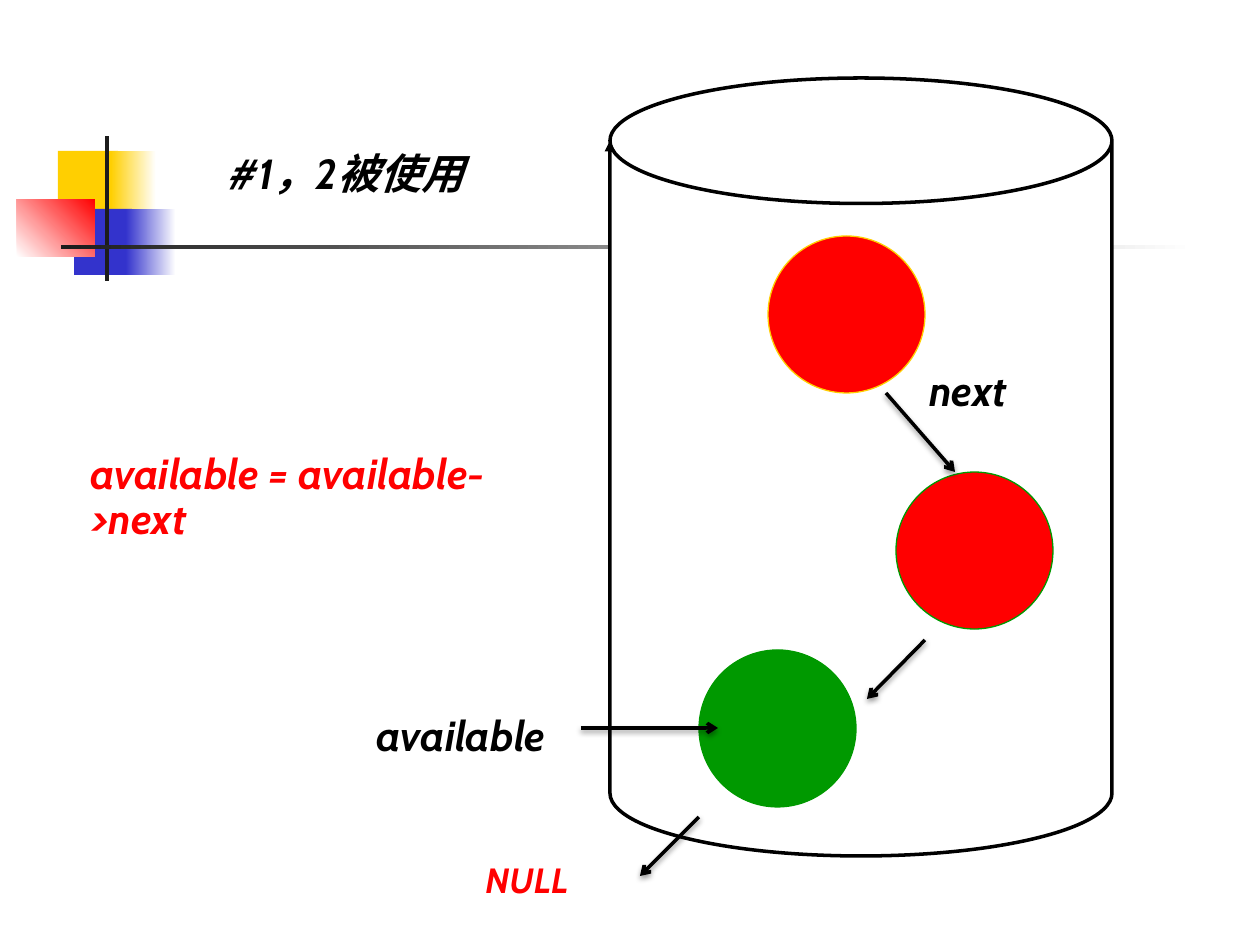
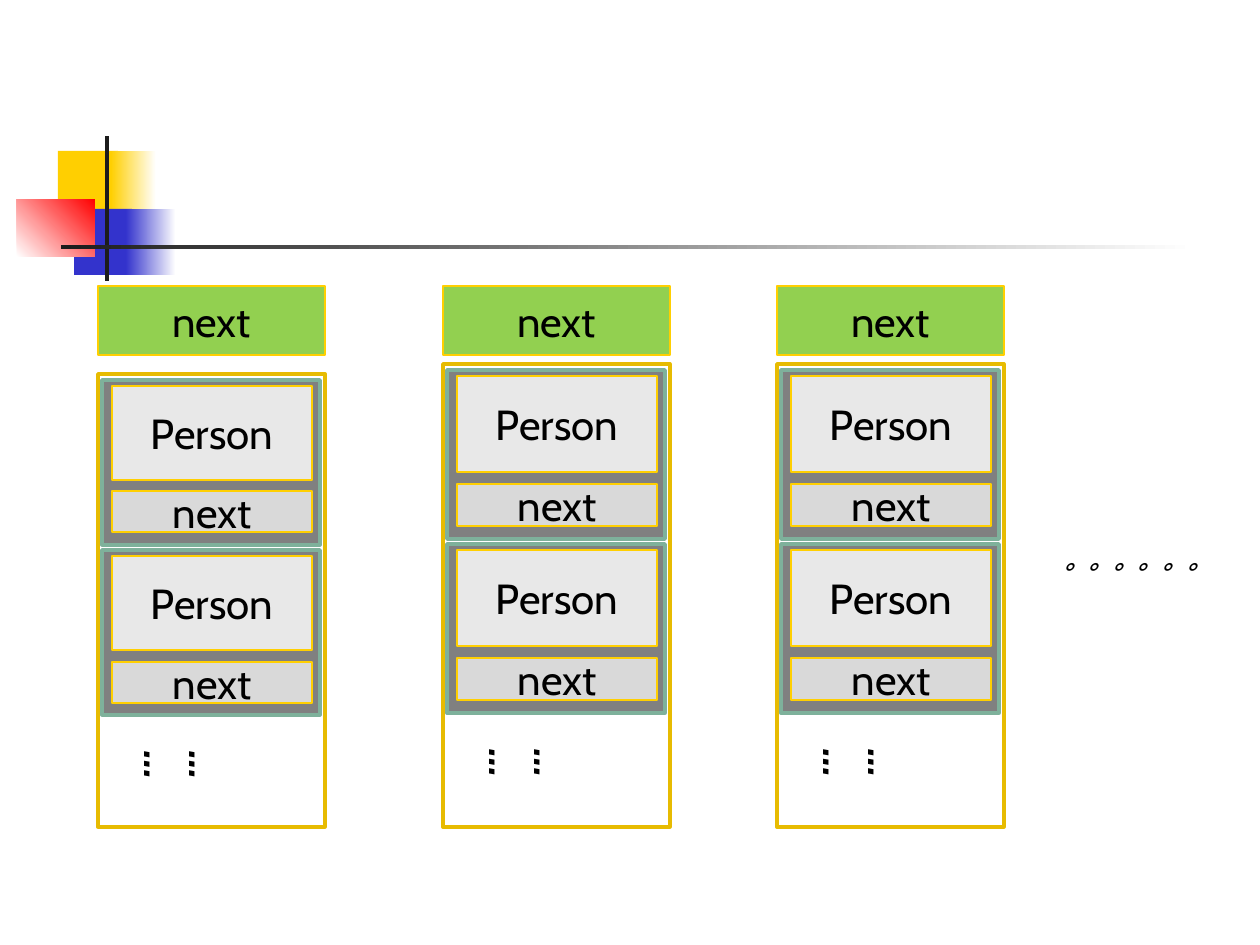
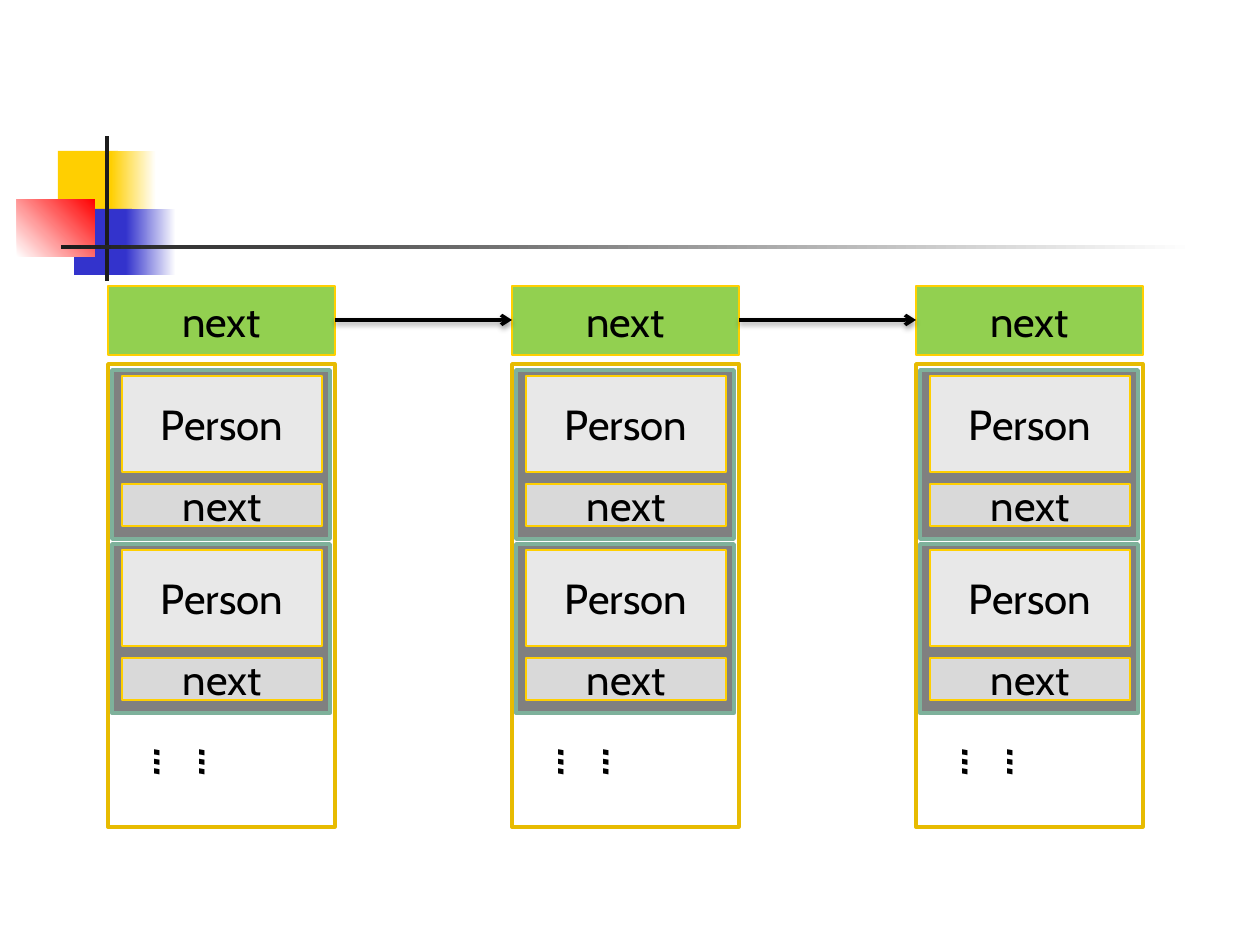
"""Builds three slides on a linked free list and its memory blocks."""
from dataclasses import dataclass
from typing import Any

from lxml import etree
from pptx import Presentation
from pptx import util as u
from pptx.dml.color import RGBColor
from pptx.enum import shapes, text
from pptx.oxml.ns import qn

SCALE = 914400 / 126
COLORS = {
    "white": "FFFFFF", "black": "000000", "ink": "1C1C1C", "red": "FF0000",
    "yellow": "FFCF01", "blue": "3333CC", "green": "009900", "gold": "E7BB01",
    "gray": "808080", "sage": "7EB19B", "pale": "E8E8E8", "silver": "D9D9D9",
    "lime": "92D050",
}
RECT = shapes.MSO_SHAPE.RECTANGLE
OVAL = shapes.MSO_SHAPE.OVAL
FONT = {"name": "Cabin", "size": u.Pt(24)}
LABEL_FONT = FONT | {"bold": True, "italic": True}
LABEL_FRAME = {
    "word_wrap": True,
    "auto_size": text.MSO_AUTO_SIZE.SHAPE_TO_FIT_TEXT,
    "vertical_anchor": text.MSO_ANCHOR.TOP,
}
LABEL_PARA = {"line_spacing": 0.9, "alignment": text.PP_ALIGN.LEFT}
CELL_FRAME = {"word_wrap": False, "vertical_anchor": text.MSO_ANCHOR.MIDDLE}
CELL_PARA = {"alignment": text.PP_ALIGN.CENTER}
COLUMN_TOP, COLUMN_BOTTOM, COLUMN_WIDTH = 364, 827, 227
HEAD_TOP, HEAD_HEIGHT = 286, 69
CARD_OFFSETS = (6, 180)


@dataclass
class Block:
    left: int
    top: int
    width: int
    height: int
    fill: str
    line: str = ""
    points: float = 0.75
    kind: Any = RECT
    words: str = ""
    fade: str = ""
    angle: int = 0


@dataclass
class Label:
    words: str
    left: int
    top: int
    width: int
    height: int
    size: int = 24
    color: str = "black"
    vertical: bool = False


@dataclass
class Arrow:
    start: tuple[int, int]
    end: tuple[int, int]


@dataclass
class Column:
    left: int
    top: int = COLUMN_TOP


DECOR = [
    Block(58, 151, 60, 66, "yellow"),
    Block(111, 151, 45, 66, "yellow", fade="white"),
    Block(74, 209, 58, 66, "blue"),
    Block(126, 209, 50, 66, "blue", fade="white"),
    Block(17, 199, 78, 58, "white", fade="red", angle=45),
    Block(105, 136, 4, 145, "ink"),
    Block(61, 245, 1134, 4, "ink", fade="white"),
]
TITLE = Label("#1，2被使用", 217, 147, 325, 58)
CYLINDER = Block(610, 78, 502, 778, "white", "black", 2, shapes.MSO_SHAPE.CAN)
NODES = [
    Block(768, 236, 157, 157, "red", "yellow", kind=OVAL),
    Block(896, 472, 157, 157, "red", "green", kind=OVAL),
    Block(699, 650, 157, 157, "green", "green", kind=OVAL),
]
NODE_ARROWS = [
    Arrow((581, 728), (718, 728)),
    Arrow((886, 393), (955, 472)),
    Arrow((925, 640), (867, 699)),
    Arrow((699, 817), (640, 876)),
]
NODE_LABELS = [
    Label("available", 364, 709, 244, 58),
    Label("next", 917, 364, 146, 58),
    Label("NULL", 473, 857, 147, 50, 20, "red"),
    Label("available = available->next", 78, 447, 452, 105, color="red"),
]
LOOSE_COLUMNS = [Column(98, 374), Column(443), Column(777)]
LINKED_COLUMNS = [Column(108 + 404 * index) for index in range(3)]
MORE = Label("。。。。。。", 1053, 542, 178, 39, 14)


def px(length: float) -> u.Emu:
    """Turn pixels into EMU."""
    return u.Emu(round(length * SCALE))


def rgb(name: str) -> RGBColor:
    """Look up a named colour."""
    return RGBColor.from_string(COLORS[name])


def apply(target: Any, values: dict) -> None:
    """Set attributes from a dict of format values."""
    for name, value in values.items():
        setattr(target, name, value)


def place(item: Block | Label) -> list[u.Emu]:
    """Give the left, top, width and height in EMU."""
    return [px(side) for side in (item.left, item.top, item.width, item.height)]


def write(box: Any, words: str, frame: dict, para: dict, font: dict, color: str) -> None:
    """Write one formatted paragraph into a shape."""
    apply(box.text_frame, frame)
    paragraph = box.text_frame.paragraphs[0]
    apply(paragraph, para)
    span = paragraph.add_run()
    span.text = words
    apply(span.font, font)
    span.font.color.rgb = rgb(color)


def write_label(box: Any, label: Label) -> None:
    """Write a bold italic label into a box."""
    font = LABEL_FONT | {"size": u.Pt(label.size)}
    write(box, label.words, LABEL_FRAME, LABEL_PARA, font, label.color)
    if label.vertical:
        box.element.find(".//" + qn("a:bodyPr")).set("vert", "eaVert")


def add_label(target: Any, label: Label) -> None:
    """Add a text box with a label."""
    write_label(target.add_textbox(*place(label)), label)


def add_block(target: Any, block: Block) -> Any:
    """Add a preset shape with its fill, outline and words."""
    shape = target.add_shape(block.kind, *place(block))
    shape.shadow.inherit = False
    if block.fade:
        shape.fill.gradient()
        shape.fill.gradient_angle = block.angle
        for stop, name in zip(shape.fill.gradient_stops, (block.fill, block.fade)):
            stop.color.rgb = rgb(name)
    else:
        shape.fill.solid()
        shape.fill.fore_color.rgb = rgb(block.fill)
    if block.line:
        shape.line.color.rgb = rgb(block.line)
        shape.line.width = u.Pt(block.points)
    else:
        shape.line.fill.background()
    if block.words:
        write(shape, block.words, CELL_FRAME, CELL_PARA, FONT, "black")
    return shape


def add_tail(shape: Any, kind: str) -> None:
    """Put an arrowhead at the end of an outline."""
    line = shape.element.find(".//" + qn("a:ln"))
    etree.SubElement(line, qn("a:tailEnd"), type=kind)


def add_arrow(target: Any, arrow: Arrow) -> None:
    """Add a black arrow with a soft shadow."""
    ends = [px(value) for value in (*arrow.start, *arrow.end)]
    link = target.add_connector(shapes.MSO_CONNECTOR.STRAIGHT, *ends)
    link.line.color.rgb = rgb("black")
    link.line.width = u.Pt(2)
    add_tail(link, "arrow")
    effects = etree.SubElement(link.element.spPr, qn("a:effectLst"))
    shadow = etree.SubElement(effects, qn("a:outerShdw"), blurRad="40000",
                              dist="20000", dir="5400000", rotWithShape="0")
    color = etree.SubElement(shadow, qn("a:srgbClr"), val=COLORS["black"])
    etree.SubElement(color, qn("a:alpha"), val="38000")


def add_column(page: Any, column: Column) -> None:
    """Add a grouped column of cards, fitted between its top and the common bottom."""
    group = page.shapes.add_group_shape().shapes
    ratio = (COLUMN_BOTTOM - column.top) / (COLUMN_BOTTOM - COLUMN_TOP)

    def spot(left: int, top: int, width: int, height: int) -> tuple[int, ...]:
        """Fit a place inside the column."""
        return (column.left + left, column.top + round(top * ratio),
                width, round(height * ratio))

    frame = spot(0, 0, COLUMN_WIDTH, COLUMN_BOTTOM - COLUMN_TOP)
    add_block(group, Block(*frame, "white", "gold", 2))
    for top in CARD_OFFSETS:
        add_block(group, Block(*spot(4, top, 218, 169), "gray", "sage", 2))
        add_block(group, Block(*spot(14, top + 6, 200, 96), "pale", "yellow", words="Person"))
        add_block(group, Block(*spot(14, top + 114, 200, 42), "silver", "yellow", words="next"))
    add_label(group, Label("……", *spot(101, 373, 33, 78), vertical=True))


def add_columns(page: Any, columns: list[Column]) -> None:
    """Add columns and the green heads above them."""
    for column in columns:
        add_column(page, column)
    for column in columns:
        head = (column.left, HEAD_TOP, COLUMN_WIDTH, HEAD_HEIGHT)
        add_block(page.shapes, Block(*head, "lime", "yellow", words="next"))


def decorate(layout: Any, page: Any) -> None:
    """Move the shared squares and bars onto the layout."""
    for holder in list(layout.placeholders)[1:]:
        layout.shapes.element.remove(holder.element)
    for shape in [add_block(page.shapes, block) for block in DECOR]:
        layout.shapes.element.append(shape.element)


def draw_free_list(page: Any) -> None:
    """Draw the cylinder with its chain of nodes."""
    title = page.shapes.title
    apply(title, dict(zip(("left", "top", "width", "height"), place(TITLE))))
    write_label(title, TITLE)
    add_tail(add_block(page.shapes, CYLINDER), "triangle")
    for node in NODES:
        add_block(page.shapes, node)
    for arrow in NODE_ARROWS:
        add_arrow(page.shapes, arrow)
    for label in NODE_LABELS:
        add_label(page.shapes, label)


def draw_loose_blocks(page: Any) -> None:
    """Draw the memory blocks before they are linked."""
    add_columns(page, LOOSE_COLUMNS)
    add_label(page.shapes, MORE)


def draw_linked_blocks(page: Any) -> None:
    """Draw the memory blocks joined by arrows."""
    add_columns(page, LINKED_COLUMNS)
    middle = HEAD_TOP + HEAD_HEIGHT // 2
    for near, far in zip(LINKED_COLUMNS, LINKED_COLUMNS[1:]):
        start = (near.left + COLUMN_WIDTH, middle)
        add_arrow(page.shapes, Arrow(start, (far.left, middle)))


def main() -> None:
    """Build and save the deck."""
    deck = Presentation()
    deck.slide_width, deck.slide_height = px(1260), px(945)
    layout = deck.slide_layouts[5]
    pages = [deck.slides.add_slide(layout) for _ in range(3)]
    decorate(layout, pages[0])
    for page in pages[1:]:
        page.shapes.element.remove(page.shapes.title.element)
    for page, draw in zip(pages, (draw_free_list, draw_loose_blocks, draw_linked_blocks)):
        draw(page)
    deck.save("out.pptx")


if __name__ == "__main__":
    main()
